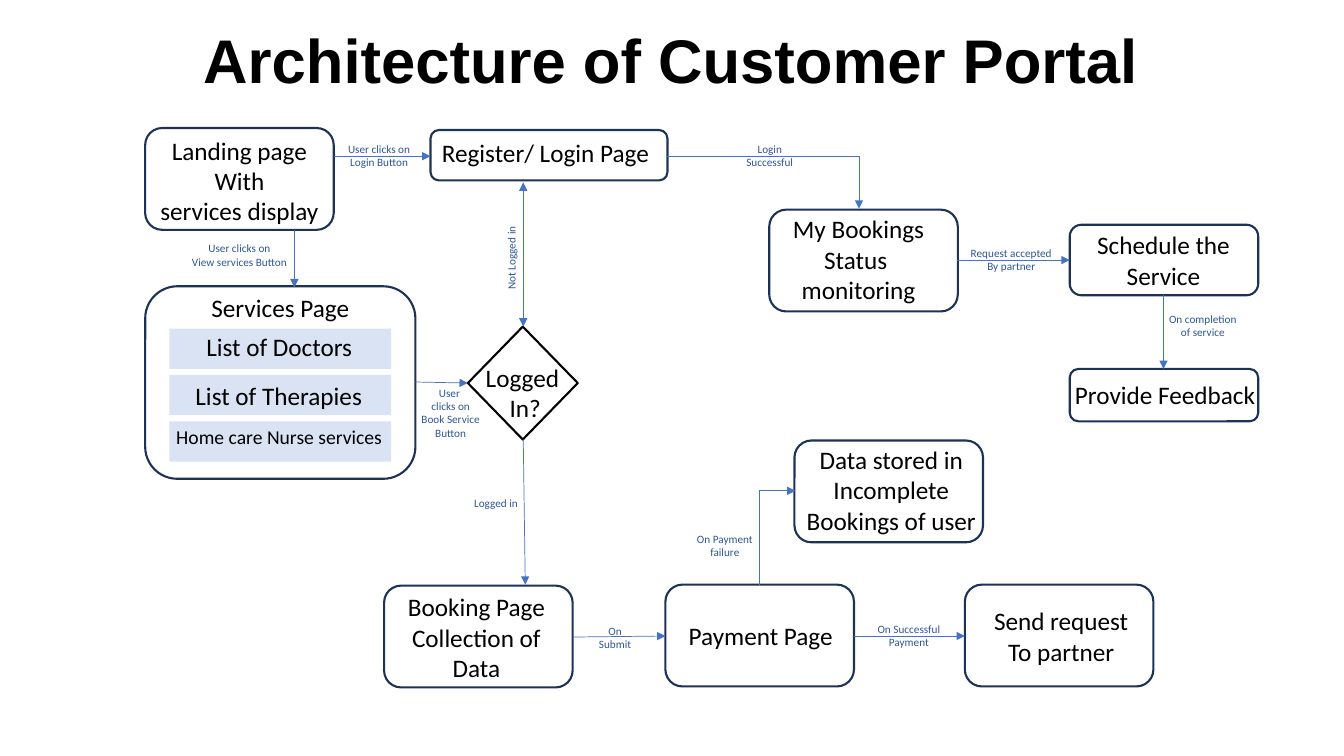
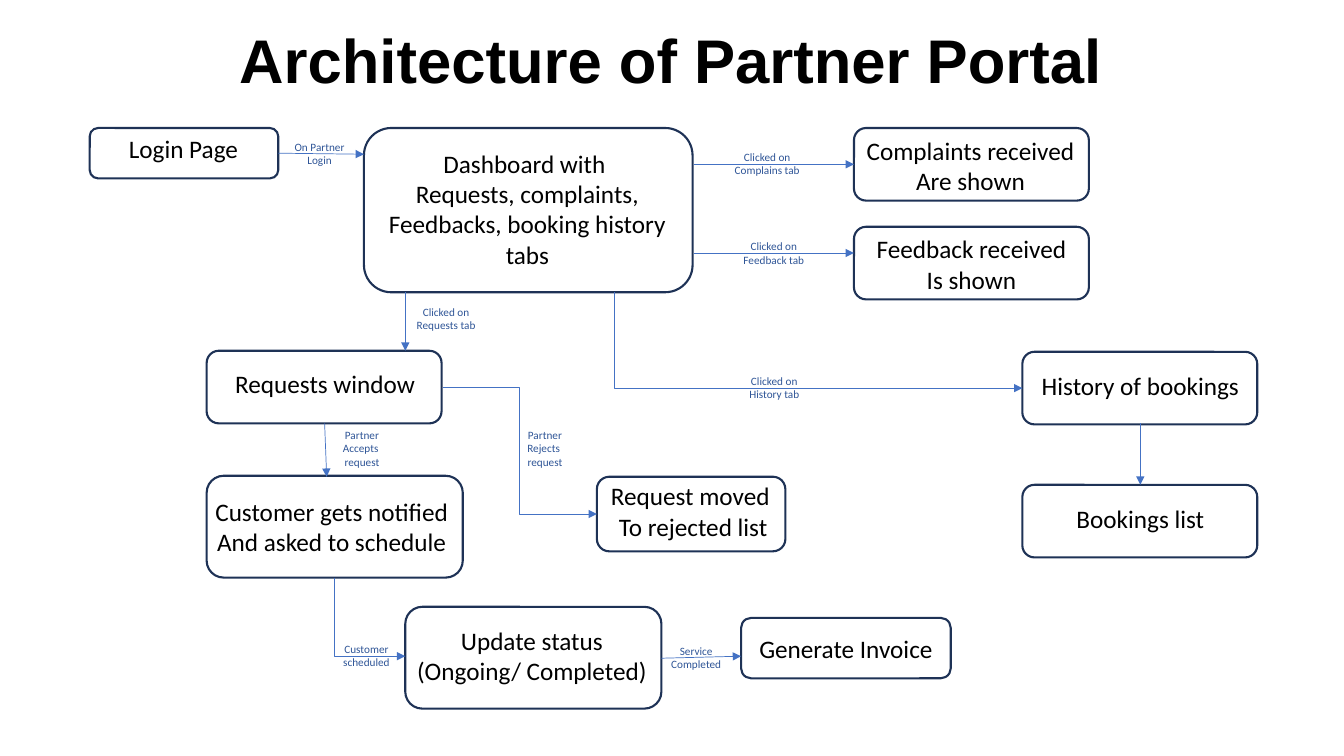
from lxml.etree import SubElement
from pptx import Presentation
from pptx.dml.color import RGBColor
from pptx.enum.shapes import MSO_CONNECTOR, MSO_SHAPE
from pptx.enum.text import MSO_ANCHOR, MSO_AUTO_SIZE, PP_ALIGN
from pptx.oxml.ns import qn
from pptx.util import Inches, Pt

BLACK = RGBColor(0x00, 0x00, 0x00)
NAVY = RGBColor(0x1E, 0x32, 0x56)
BLUE = RGBColor(0x44, 0x72, 0xC4)
LABEL_BLUE = RGBColor(0x2F, 0x55, 0x97)
PALE_BLUE = RGBColor(0xDA, 0xE3, 0xF3)

ACROSS_FIRST = 1
DOWN_FIRST = 0
HALFWAY = 0.5


def add_text(slide, text, left, top, width, height, size=18, color=BLACK,
             font="Calibri", bold=False, wrap=False, grow=True, rotation=0, line_spacing=None):
    shape = slide.shapes.add_textbox(Inches(left), Inches(top), Inches(width), Inches(height))
    shape.rotation = rotation
    frame = shape.text_frame
    frame.text = text
    frame.word_wrap = wrap
    frame.vertical_anchor = MSO_ANCHOR.TOP
    frame.auto_size = MSO_AUTO_SIZE.SHAPE_TO_FIT_TEXT if grow else MSO_AUTO_SIZE.NONE
    for paragraph in frame.paragraphs:
        paragraph.alignment = PP_ALIGN.CENTER
        paragraph.line_spacing = line_spacing
        paragraph.font.size = Pt(size)
        paragraph.font.name = font
        paragraph.font.bold = bold
        paragraph.font.color.rgb = color


def add_box(slide, preset, left, top, width, height, fill=None, line=None):
    shape = slide.shapes.add_shape(preset, Inches(left), Inches(top), Inches(width), Inches(height))
    shape.shadow.inherit = False
    if fill is None:
        shape.fill.background()
    else:
        shape.fill.solid()
        shape.fill.fore_color.rgb = fill
    if line is None:
        shape.line.fill.background()
    else:
        shape.line.color.rgb = line
        shape.line.width = Pt(1.5)


customer_portal = {
    "title": "Architecture of Customer Portal",
    "boxes": [
        (1.44, 1.27, 1.87, 1.01),
        (4.27, 1.29, 2.35, 0.5),
        (7.63, 2.08, 1.87, 1.01),
        (1.44, 2.84, 2.68, 1.91),
        (3.81, 5.81, 1.87, 1.01),
        (7.88, 4.37, 1.87, 1.01),
        (9.57, 5.8, 1.87, 1.01),
        (6.6, 5.8, 1.87, 1.01),
        (10.61, 2.23, 1.87, 0.7),
        (10.61, 3.66, 1.87, 0.52),
    ],
    "bars": [(1.68, 3.26 + 0.46 * row, 2.2, 0.4) for row in range(3)],
    "decisions": [(4.64, 3.24, 1.09, 1.12)],
    "texts": [
        ("Landing page\nWith\nservices display", 1.48, 1.29, 1.79, 1.01),
        ("Register/ Login Page", 4.27, 1.31, 2.28, 0.4),
        ("My Bookings\nStatus \nmonitoring", 7.76, 2.07, 1.51, 1.01),
        ("Services Page", 1.99, 2.85, 1.58, 0.4),
        ("List of Doctors", 1.94, 3.24, 1.66, 0.4),
        ("List of Therapies", 1.83, 3.72, 1.87, 0.4),
        ("Home care Nurse services", 1.64, 4.17, 2.26, 0.34, {"size": 14}),
        ("Booking Page\nCollection of Data", 3.77, 5.82, 1.91, 1.01, {"wrap": True}),
        ("Payment Page", 6.72, 6.1, 1.65, 0.4),
        ("Send request\nTo partner", 9.75, 5.96, 1.55, 0.71),
        ("Data stored in\nIncomplete\nBookings of user", 7.89, 4.36, 1.9, 1.01),
        ("Schedule the\nService", 10.77, 2.23, 1.54, 0.71),
        ("Provide Feedback", 10.55, 3.71, 2.01, 0.4),
        ("Logged \nIn?", 4.71, 3.54, 1, 0.71),
    ],
    "labels": [
        ("User clicks on\nLogin Button", 3.35, 1.36, 0.82, 0.37),
        ("Login\nSuccessful", 7.3, 1.36, 0.67, 0.37),
        ("Request accepted\nBy partner", 9.52, 2.39, 1.02, 0.37),
        ("On completion\nof service", 11.49, 3.05, 0.88, 0.37),
        ("User clicks on\nView services Button", 1.8, 2.35, 1.15, 0.37),
        ("User \nclicks on\nBook Service\nButton", 4.08, 3.78, 0.78, 0.64),
        ("Not Logged in", 4.66, 2.44, 0.83, 0.24, {"rotation": 270}),
        ("Logged in", 4.6, 4.87, 0.64, 0.24),
        ("On\nSubmit", 5.84, 6.14, 0.52, 0.37),
        ("On Successful\nPayment", 8.6, 6.12, 0.83, 0.37),
        ("On Payment\nfailure", 6.81, 5.23, 0.76, 0.37),
    ],
    "arrows": [
        (3.31, 1.55, 4.27, 1.55),
        (9.49, 2.58, 10.61, 2.58),
        (5.68, 6.32, 6.6, 6.31),
        (8.47, 6.31, 9.57, 6.31),
        (4.12, 3.79, 4.64, 3.8),
        (11.54, 2.93, 11.54, 3.66),
        (2.92, 2.28, 2.92, 2.85),
        (5.19, 4.36, 5.21, 5.8),
    ],
    "double_arrows": [(5.19, 3.24, 5.19, 1.81)],
    "elbows": [
        (6.62, 1.55, 8.52, 2.07, ACROSS_FIRST),
        (7.53, 5.8, 7.89, 4.87, DOWN_FIRST),
    ],
}

partner_portal = {
    "title": "Architecture of Partner Portal",
    "boxes": [
        (3.61, 1.27, 3.26, 1.63),
        (0.89, 1.27, 1.87, 0.5),
        (2.05, 3.48, 2.33, 0.72),
        (2.05, 4.72, 2.54, 1.01),
        (5.92, 4.73, 1.87, 0.74),
        (7.35, 6.13, 2.08, 0.6),
        (4.02, 6.02, 2.54, 1.01),
        (10.14, 3.49, 2.33, 0.72),
        (10.14, 4.81, 2.33, 0.72),
        (8.47, 1.27, 2.33, 0.72),
        (8.47, 2.25, 2.33, 0.72),
    ],
    "bars": [],
    "decisions": [],
    "texts": [
        ("Dashboard with \nRequests, complaints,\nFeedbacks, booking history\ntabs", 3.74, 1.42, 2.98, 1.31),
        ("Login Page", 1.17, 1.27, 1.3, 0.4),
        ("Requests window", 2.22, 3.61, 2.01, 0.4),
        ("Customer gets notified\nAnd asked to schedule", 2.02, 4.87, 2.54, 0.71),
        ("Update status\n(Ongoing/ Completed)", 4.02, 6.15, 2.51, 0.71),
        ("Generate Invoice", 7.42, 6.23, 1.94, 0.4),
        ("Request moved \nTo rejected list", 5.95, 4.72, 1.85, 0.71),
        ("History of bookings", 10.22, 3.62, 2.18, 0.4),
        ("Bookings list", 10.57, 4.94, 1.48, 0.4),
        ("Complaints received\nAre shown", 8.48, 1.29, 2.29, 0.71),
        ("Feedback received\nIs shown", 8.58, 2.27, 2.11, 0.71),
    ],
    "labels": [
        ("On Partner\nLogin", 2.82, 1.34, 0.7, 0.37),
        ("Clicked on\nComplains tab", 7.18, 1.44, 0.86, 0.37),
        ("Clicked on\nFeedback tab", 7.27, 2.33, 0.81, 0.37),
        ("Clicked on\nRequests tab", 4.03, 2.98, 0.79, 0.37),
        ("Clicked on\nHistory tab", 7.33, 3.66, 0.7, 0.37),
        ("Partner\nAccepts \nrequest", 3.3, 4.2, 0.58, 0.5),
        ("Partner\nRejects \nrequest", 5.13, 4.2, 0.55, 0.5),
        ("Customer\nscheduled", 3.3, 6.32, 0.67, 0.37),
        ("Service\nCompleted", 6.55, 6.34, 0.71, 0.37),
    ],
    "arrows": [
        (2.76, 1.52, 3.61, 1.53),
        (4.02, 2.9, 4.02, 3.48),
        (6.88, 1.63, 8.47, 1.63),
        (6.88, 2.51, 8.47, 2.51),
        (11.31, 4.2, 11.31, 4.81),
        (3.22, 4.2, 3.24, 4.73),
        (6.56, 6.53, 7.35, 6.51),
    ],
    "double_arrows": [],
    "elbows": [
        (6.09, 2.9, 10.14, 3.85, DOWN_FIRST),
        (3.32, 5.73, 4.02, 6.51, DOWN_FIRST),
        (4.39, 3.84, 5.92, 5.1, HALFWAY),
    ],
}

presentation = Presentation()
presentation.slide_width = Inches(13.33)
presentation.slide_height = Inches(7.5)

for portal in (customer_portal, partner_portal):
    slide = presentation.slides.add_slide(presentation.slide_layouts[6])
    add_text(slide, portal["title"], 0.51, 0.25, 12.29, 1.01, size=44, font="Arial",
             bold=True, wrap=True, grow=False, line_spacing=0.9)

    for box in portal["boxes"]:
        add_box(slide, MSO_SHAPE.ROUNDED_RECTANGLE, *box, line=NAVY)
    for bar in portal["bars"]:
        add_box(slide, MSO_SHAPE.RECTANGLE, *bar, fill=PALE_BLUE)
    for decision in portal["decisions"]:
        add_box(slide, MSO_SHAPE.FLOWCHART_DECISION, *decision, line=BLACK)

    routes = [(arrow, None, ["tailEnd"]) for arrow in portal["arrows"]]
    routes += [(arrow, None, ["headEnd", "tailEnd"]) for arrow in portal["double_arrows"]]
    routes += [(elbow[:4], elbow[4], ["tailEnd"]) for elbow in portal["elbows"]]
    for points, bend, arrowheads in routes:
        kind = MSO_CONNECTOR.STRAIGHT if bend is None else MSO_CONNECTOR.ELBOW
        connector = slide.shapes.add_connector(kind, *[Inches(point) for point in points])
        connector.line.color.rgb = BLUE
        connector.line.width = Pt(0.5)
        properties = connector._element.spPr
        for arrowhead in arrowheads:
            SubElement(properties.find(qn("a:ln")), qn(f"a:{arrowhead}"), type="triangle")
        SubElement(properties, qn("a:effectLst"))
        if bend is not None:
            geometry = properties.find(qn("a:prstGeom"))
            adjustments = geometry.find(qn("a:avLst"))
            SubElement(adjustments, qn("a:gd"), name="adj1", fmla=f"val {int(bend * 100000)}")

    for text, left, top, width, height, *options in portal["texts"]:
        add_text(slide, text, left, top, width, height, **dict(*options))
    for text, left, top, width, height, *options in portal["labels"]:
        add_text(slide, text, left, top, width, height, size=8, color=LABEL_BLUE, **dict(*options))

presentation.save("out.pptx")
